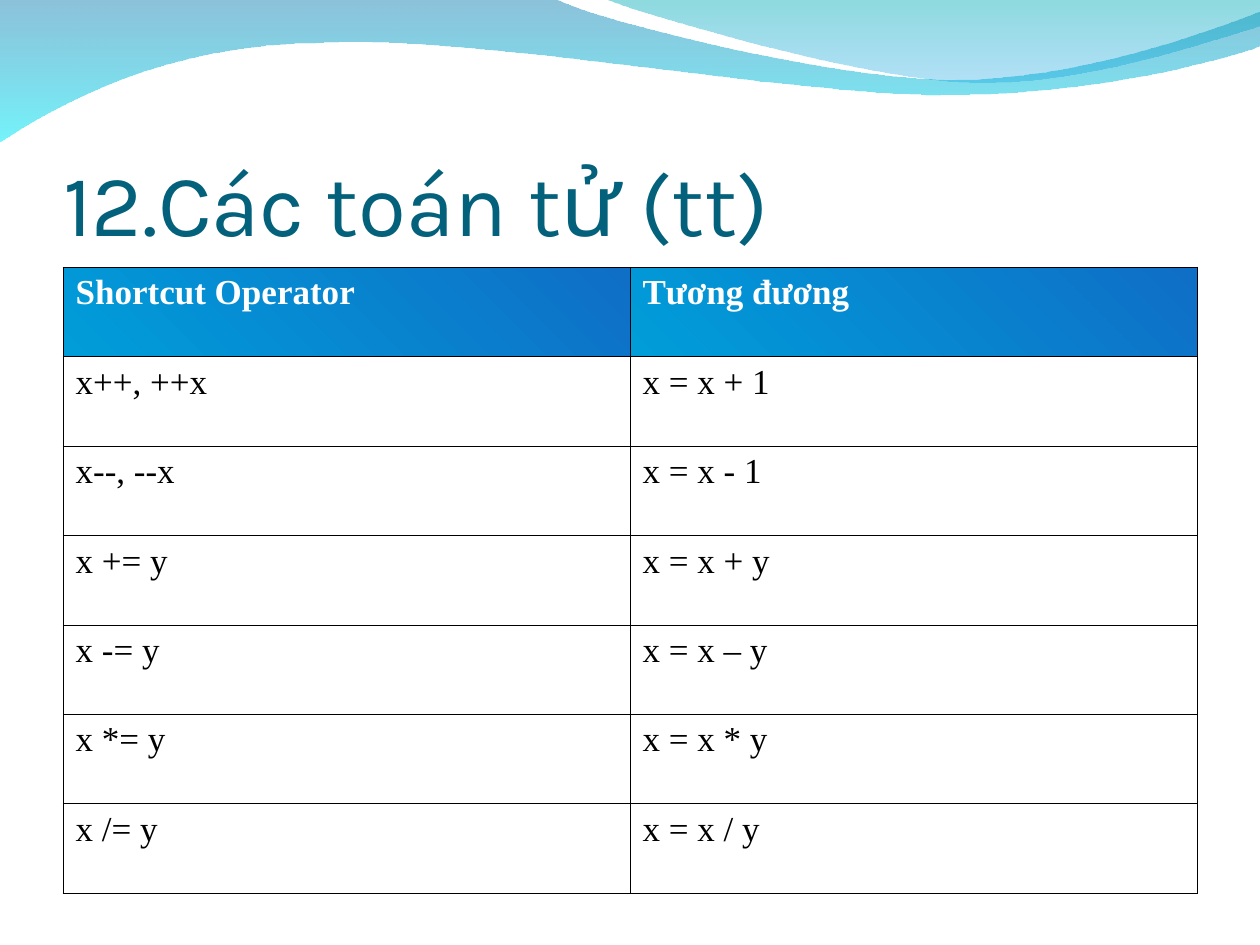
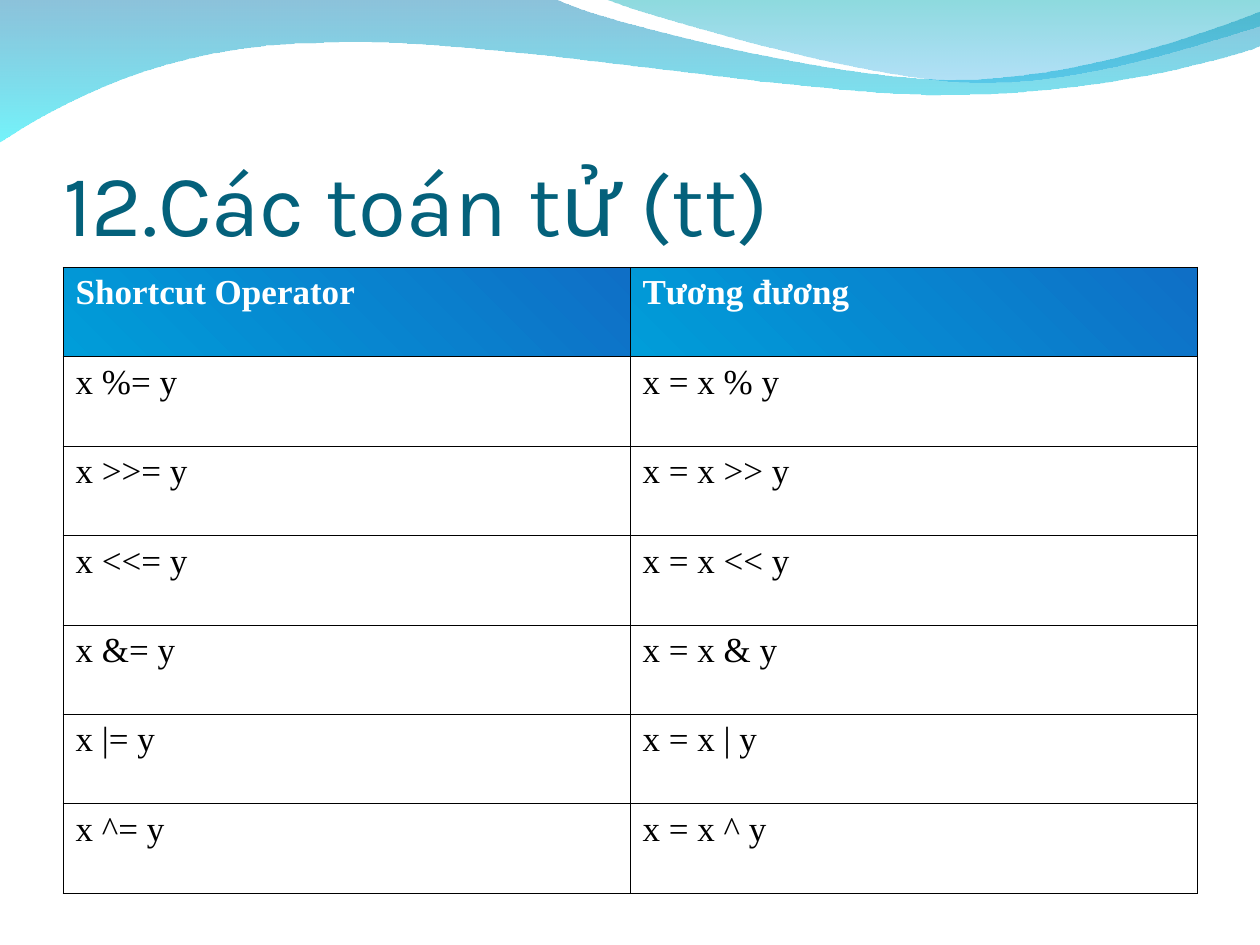
"""Build two slides on shortcut operators, with wave bands shared through the layout."""
from dataclasses import dataclass

from lxml import etree
from pptx import Presentation
from pptx.dml.color import RGBColor
from pptx.enum.text import MSO_ANCHOR, MSO_AUTO_SIZE, PP_ALIGN
from pptx.oxml.ns import qn
from pptx.util import Inches, Pt

LEFT = PP_ALIGN.LEFT
BOTTOM = MSO_ANCHOR.BOTTOM
NO_AUTOFIT = MSO_AUTO_SIZE.NONE


@dataclass(frozen=True)
class Theme:
    title_color: str = "04617B"
    header_text: str = "FFFFFF"
    body_text: str = "000000"
    border: str = "000000"
    header_gradient: tuple = ("0F6FC6", "009DD9")
    title_font: str = "Karla"
    table_font: str = "Times New Roman"
    title_size: int = 50
    table_size: int = 20
    border_width: float = 0.45


THEME = Theme()
TITLE = "12.Các toán tử (tt)"
HEADER = ("Shortcut Operator", "Tương đương")
OPERATOR_TABLES = [
    [
        ("x++, ++x", "x = x + 1"),
        ("x--, --x", "x = x - 1"),
        ("x += y", "x = x + y"),
        ("x -= y", "x = x – y"),
        ("x *= y", "x = x * y"),
        ("x /= y", "x = x / y"),
    ],
    [
        ("x %= y", "x = x % y"),
        ("x >>= y", "x = x >> y"),
        ("x <<= y", "x = x << y"),
        ("x &= y", "x = x & y"),
        ("x |= y", "x = x | y"),
        ("x ^= y", "x = x ^ y"),
    ],
]
WAVES = [
    {
        "colors": ("0079AF", "00EBF8"),
        "opacities": (45, 55),
        "start": (0, -0.01),
        "segments": [
            [(4.4, -0.01)],
            [(4.76, 0.17), (6.64, 0.63), (7.58, 0.63)],
            [(8.53, 0.63), (9.58, 0.26), (10, 0.09)],
            [(10.01, 0.36)],
            [(9.83, 0.44), (8.7, 0.76), (7.46, 0.75)],
            [(6.22, 0.75), (3.82, 0.28), (2.57, 0.34)],
            [(1.29, 0.35), (0.46, 0.83), (-0.01, 1.13)],
            [(0, -0.01)],
        ],
    },
    {
        "colors": ("00ADB6", "009BE5"),
        "opacities": (45, 30),
        "start": (4.79, -0.01),
        "segments": [
            [(5.09, 0.11), (6.82, 0.62), (7.69, 0.65)],
            [(8.56, 0.69), (9.61, 0.32), (10, 0.21)],
            [(10, 0)],
            [(4.79, -0.01)],
        ],
    },
]


def write(text_frame, text, *, font, size, color, bold=False):
    paragraph = text_frame.paragraphs[0]
    paragraph.alignment = LEFT
    run = paragraph.add_run()
    run.text = text
    run.font.name = font
    run.font.size = Pt(size)
    run.font.bold = bold
    run.font.color.rgb = RGBColor.from_string(color)


def fill_gradient(fill, colors, angle):
    fill.gradient()
    fill.gradient_angle = angle
    for stop, color in zip(fill.gradient_stops, colors):
        stop.color.rgb = RGBColor.from_string(color)


presentation = Presentation()
presentation.slide_width = Inches(10)
presentation.slide_height = Inches(7.5)
margin = int(presentation.slide_width * 0.05)
content_width = presentation.slide_width - 2 * margin
row_height = Inches(0.71)

layout = presentation.slide_layouts[5]
layout_title = layout.placeholders[0]
layout_title.left, layout_title.top = margin, Inches(0.77)
layout_title.width, layout_title.height = content_width, Inches(1.25)
slides = [presentation.slides.add_slide(layout) for _ in OPERATOR_TABLES]

for position, wave in enumerate(WAVES, start=2):
    builder = slides[0].shapes.build_freeform(*map(Inches, wave["start"]))
    builder.add_line_segments(
        [(Inches(x), Inches(y)) for segment in wave["segments"] for x, y in segment], close=True)
    shape = builder.convert_to_shape()
    lines = iter(list(shape.element.iter(qn("a:lnTo"))))
    for segment in wave["segments"]:
        segment_lines = [next(lines) for _ in segment]
        if len(segment) == 3:
            curve = etree.Element(qn("a:cubicBezTo"))
            segment_lines[0].addprevious(curve)
            for line in segment_lines:
                curve.append(line[0])
                line.getparent().remove(line)
    shape.name = f"Wave {position - 1}"
    shape.shadow.inherit = False
    shape.line.fill.background()
    fill_gradient(shape.fill, wave["colors"], 270)
    for color, opacity in zip(list(shape.element.iter(qn("a:srgbClr"))), wave["opacities"]):
        etree.SubElement(color, qn("a:alpha"), val=str(opacity * 1000))
    layout.shapes.element.insert(position, shape.element)

for slide, operators in zip(slides, OPERATOR_TABLES):
    title_frame = slide.shapes.title.text_frame
    title_frame.auto_size = NO_AUTOFIT
    title_frame.word_wrap = True
    title_frame.vertical_anchor = BOTTOM
    title_frame.margin_left = title_frame.margin_right = title_frame.margin_bottom = 0
    title_frame.margin_top = Inches(0.05)
    write(title_frame, TITLE, font=THEME.title_font, size=THEME.title_size,
          color=THEME.title_color)

    rows = [HEADER, *operators]
    graphic_frame = slide.shapes.add_table(
        len(rows), len(HEADER), margin, Inches(2.12), content_width, row_height * len(rows))
    table = graphic_frame.table
    table.first_row = True
    table.horz_banding = False
    for row_index, texts in enumerate(rows):
        table.rows[row_index].height = row_height
        is_header = row_index == 0
        for column_index, text in enumerate(texts):
            cell = table.cell(row_index, column_index)
            if is_header:
                fill_gradient(cell.fill, THEME.header_gradient, 225)
            else:
                cell.fill.background()
            write(cell.text_frame, text, font=THEME.table_font, size=THEME.table_size,
                  color=THEME.header_text if is_header else THEME.body_text, bold=is_header)

    for properties in graphic_frame.element.iter(qn("a:pPr")):
        properties.set("marL", str(Inches(0.3)))
        properties.set("indent", str(Inches(-0.3)))
    for properties in list(graphic_frame.element.iter(qn("a:tcPr"))):
        for index, side in enumerate(("lnL", "lnR", "lnT", "lnB")):
            border = etree.Element(qn(f"a:{side}"), w=str(Pt(THEME.border_width)))
            solid = etree.SubElement(border, qn("a:solidFill"))
            etree.SubElement(solid, qn("a:srgbClr"), val=THEME.border)
            properties.insert(index, border)

presentation.save("out.pptx")
